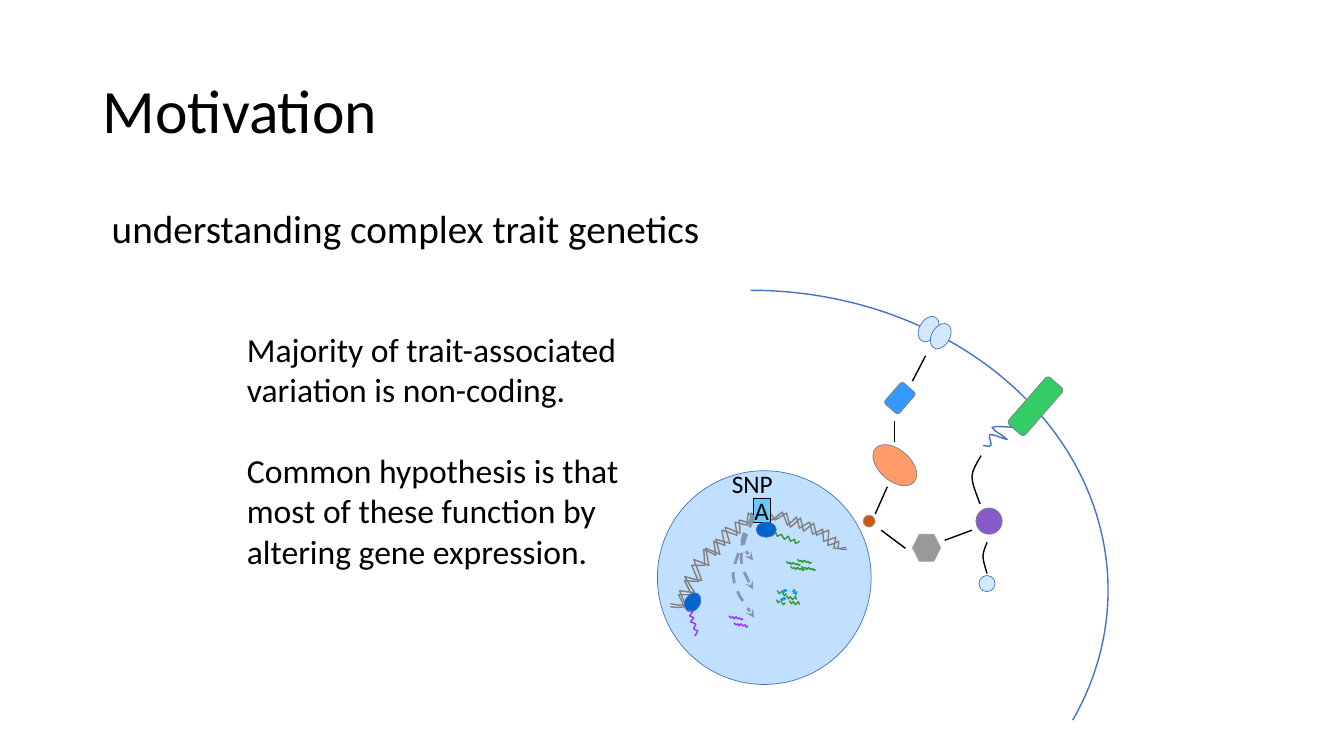
import pptx
import pptx.dml.color
import pptx.enum.dml
import pptx.enum.shapes
import pptx.enum.text
import pptx.oxml
import pptx.oxml.ns
import pptx.util

Inches = pptx.util.Inches
SHAPE = pptx.enum.shapes.MSO_SHAPE
ANCHOR = pptx.enum.text.MSO_ANCHOR
ALIGN = pptx.enum.text.PP_ALIGN

COLORS = {
    "black": "000000", "outline": "4472C4", "gray line": "7F7F7F", "light line": "A6A6A6",
    "membrane": "D1E8FD", "nucleus": "C1DFFF", "kinase": "3399FF", "receptor": "33CC66",
    "orange": "FF9966", "purple": "8555C8", "hexagon": "999999", "brown": "C55A11",
    "dna": "808080", "allele": "66CCFF", "polymerase": "0066CC", "green rna": "339933",
    "purple rna": "9933FF", "nick": "0099FF", "arrow": "8497B0",
}

# Turning points of the two DNA strands
STRANDS = [
    [(6.65, 6.02), (6.79, 6.02), (6.73, 5.9), (6.86, 5.9), (6.79, 5.76), (6.93, 5.77),
     (6.86, 5.61), (6.99, 5.61), (6.98, 5.45), (7.1, 5.51), (7.08, 5.37), (7.19, 5.41),
     (7.16, 5.26), (7.31, 5.31), (7.29, 5.18), (7.41, 5.21), (7.42, 5.09), (7.54, 5.18),
     (7.58, 5.06), (7.66, 5.16), (7.76, 5.08), (7.81, 5.21), (7.9, 5.13), (7.93, 5.24),
     (8.03, 5.18), (8.06, 5.3), (8.16, 5.25), (8.17, 5.37), (8.29, 5.33), (8.27, 5.44),
     (8.39, 5.43)],
    [(6.65, 5.99), (6.8, 6), (6.74, 5.86), (6.89, 5.88), (6.79, 5.72), (6.96, 5.76),
     (6.88, 5.55), (7.03, 5.61), (7, 5.44), (7.14, 5.5), (7.1, 5.35), (7.24, 5.39),
     (7.19, 5.23), (7.34, 5.29), (7.33, 5.16), (7.44, 5.19), (7.45, 5.09), (7.58, 5.17),
     (7.62, 5.06), (7.69, 5.16), (7.8, 5.09), (7.84, 5.23), (7.94, 5.14), (7.97, 5.27),
     (8.07, 5.19), (8.1, 5.31), (8.22, 5.26), (8.21, 5.41), (8.32, 5.37), (8.31, 5.44),
     (8.4, 5.45)],
]

# Small wave forms, as offsets from their start
TRANSCRIPT = [(0, 0), (.02, .02), (.04, .01), (.05, .03), (.07, .01), (.09, .03),
              (.11, .02), (.12, .04), (.14, .03)]
PIECE = [(0, 0), (.02, .03), (.04, .01), (.06, .04), (.09, .01), (.1, .04)]
NICK = [(0, 0), (.02, -.02), (.02, -.01), (.01, .02)]
WIDE_NICK = [(0, 0), (.04, -.02), (.05, -.01), (.01, .01)]


def rgb(name):
    return pptx.dml.color.RGBColor.from_string(COLORS[name])


def set_line(item, color, width):
    item.line.color.rgb = rgb(color)
    item.line.width = pptx.util.Pt(width)


def write(frame, *texts, size, anchor=ANCHOR.TOP, align=ALIGN.LEFT, spacing=1, gap=0, wrap=True):
    frame.word_wrap = wrap
    frame.vertical_anchor = anchor
    for index, text in enumerate(texts):
        para = frame.paragraphs[0] if index == 0 else frame.add_paragraph()
        para.alignment = align
        para.line_spacing = spacing
        para.space_before = pptx.util.Pt(gap if index else 0)
        span = para.add_run()
        span.text = text
        span.font.size = pptx.util.Pt(size)
        span.font.name = "Calibri"
        span.font.color.rgb = rgb("black")


def add_text(shapes, place, *texts, **style):
    box = shapes.add_textbox(*map(Inches, place))
    write(box.text_frame, *texts, **style)


def add_part(shapes, kind, place, fill, line="outline", width=0.5, turn=0, alpha=None):
    part = shapes.add_shape(kind, *map(Inches, place))
    part.shadow.inherit = False
    part.rotation = turn
    set_line(part, line, width)
    if fill is None:
        part.fill.background()
    else:
        part.fill.solid()
        part.fill.fore_color.rgb = rgb(fill)
    if alpha:
        color = part.fill._xPr.find(".//" + pptx.oxml.ns.qn("a:srgbClr"))
        color.append(pptx.oxml.parse_xml(
            f'<a:alpha {pptx.oxml.ns.nsdecls("a")} val="{alpha * 1000}"/>'))
    return part


def add_link(shapes, start, end):
    link = shapes.add_connector(pptx.enum.shapes.MSO_CONNECTOR.STRAIGHT,
                                *map(Inches, start + end))
    set_line(link, "black", 1)
    link._element.spPr.append(
        pptx.oxml.parse_xml(f'<a:effectLst {pptx.oxml.ns.nsdecls("a")}/>'))


def smooth(points, steps):
    """Catmull-Rom curve through the points."""
    padded = [points[0], *points, points[-1]]
    curve = [points[0]]
    for a, b, c, d in zip(padded, padded[1:], padded[2:], padded[3:]):
        for step in range(1, steps + 1):
            t = step / steps
            curve.append(tuple(
                b[i] + (c[i] - a[i]) * t / 2
                + (2 * a[i] - 5 * b[i] + 4 * c[i] - d[i]) * t ** 2 / 2
                + (3 * b[i] - a[i] - 3 * c[i] + d[i]) * t ** 3 / 2 for i in (0, 1)))
    return curve


def add_curve(shapes, points, color, width=1, steps=2, arrow=False):
    start, *rest = [(Inches(x), Inches(y)) for x, y in smooth(points, steps)]
    builder = shapes.build_freeform(*start)
    builder.add_line_segments(rest, close=False)
    curve = builder.convert_to_shape()
    curve.shadow.inherit = False
    curve.fill.background()
    set_line(curve, color, width)
    if arrow:
        curve.line.dash_style = pptx.enum.dml.MSO_LINE.DASH
        curve.line._get_or_add_ln().append(
            pptx.oxml.parse_xml(f'<a:tailEnd {pptx.oxml.ns.nsdecls("a")} type="stealth"/>'))


def add_waves(shapes, wave, color, starts):
    for left, top in starts:
        add_curve(shapes, [(left + x, top + y) for x, y in wave], color, steps=1)


def draw_signalling(cell):
    # Membrane, its receptors and the nucleus
    membrane = add_part(cell, SHAPE.ARC, (3.9, 2.88, 7.09, 5.95), None, width=1)
    membrane.adjustments[0] = 162
    membrane.adjustments[1] = 13.19
    for left, top in [(9.12, 3.13), (9.24, 3.2)]:
        add_part(cell, SHAPE.OVAL, (left, top, .18, .27), "membrane", turn=30)
    add_part(cell, SHAPE.OVAL, (6.52, 4.67, 2.12, 2.12), "nucleus")
    for place, fill in [((8.83, 3.81, .19, .28), "kinase"), ((10.16, 3.72, .22, .62), "receptor")]:
        add_part(cell, SHAPE.ROUNDED_RECTANGLE, place, fill, "gray line", turn=41)
    add_curve(cell, [(10.05, 4.24), (9.84, 4.24), (9.99, 4.36), (9.82, 4.31),
                     (9.83, 4.42), (9.75, 4.42)], "outline", steps=3)

    # Signalling molecules and their links
    add_part(cell, SHAPE.OVAL, (9.71, 5.71, .16, .16), "membrane")
    add_part(cell, SHAPE.OVAL, (8.62, 4.46, .51, .31), "orange", "gray line", turn=41, alpha=97)
    add_part(cell, SHAPE.OVAL, (9.68, 5.04, .26, .26), "purple", "gray line", alpha=97)
    add_part(cell, SHAPE.HEXAGON, (9.05, 5.3, .28, .27), "hexagon", "light line")
    add_part(cell, SHAPE.OVAL, (8.56, 5.11, .12, .12), "brown", "light line")
    for start, end in [((8.98, 5.44), (8.74, 5.26)), ((9.64, 5.26), (9.37, 5.36)),
                       ((9.18, 3.53), (9.05, 3.78)), ((8.8, 4.83), (8.68, 5.1)),
                       ((8.87, 4.18), (8.87, 4.39))]:
        add_link(cell, start, end)
    for points in [[(9.73, 4.52), (9.64, 4.73), (9.72, 5)],
                   [(9.79, 5.38), (9.75, 5.52), (9.79, 5.69)]]:
        add_curve(cell, points, "black", steps=5)


def draw_expression(cell):
    # DNA with the variant
    for strand in STRANDS:
        add_curve(cell, strand, "dna")
    allele = add_part(cell, SHAPE.RECTANGLE, (7.47, 4.94, .17, .24), "allele", "black")
    frame = allele.text_frame
    frame.margin_left = frame.margin_right = frame.margin_top = frame.margin_bottom = 0
    write(frame, "A", size=18, anchor=ANCHOR.MIDDLE, align=ALIGN.CENTER)
    add_text(cell, (7.16, 4.6, .61, .4), "SNP", size=18, wrap=False)

    # Polymerases with growing transcripts
    add_part(cell, SHAPE.OVAL, (7.5, 5.18, .2, .15), "polymerase")
    add_curve(cell, [(7.69, 5.27), (7.71, 5.32), (7.75, 5.3), (7.78, 5.35), (7.82, 5.32),
                     (7.84, 5.37), (7.88, 5.35), (7.89, 5.39), (7.93, 5.37)], "green rna")
    add_part(cell, SHAPE.OVAL, (6.77, 5.9, .2, .15), "polymerase", turn=300)
    add_curve(cell, [(6.89, 6.31), (6.92, 6.26), (6.88, 6.24), (6.9, 6.19), (6.85, 6.17),
                     (6.88, 6.13), (6.84, 6.11), (6.87, 6.07), (6.83, 6.05)], "purple rna")

    # Finished and degraded transcripts
    add_waves(cell, TRANSCRIPT, "green rna", [(7.84, 5.62), (7.8, 5.57), (7.91, 5.55), (7.95, 5.62)])
    add_waves(cell, TRANSCRIPT, "purple rna", [(7.23, 6.11), (7.28, 6.18)])
    add_waves(cell, PIECE, "green rna", [(7.8, 5.91), (7.83, 5.96)])
    add_waves(cell, PIECE[:3], "green rna", [(7.71, 5.86), (7.76, 5.88), (7.7, 5.95), (7.75, 5.97)])
    add_waves(cell, NICK, "nick", [(7.88, 5.89), (7.86, 5.87)])
    add_waves(cell, WIDE_NICK, "nick", [(7.75, 5.87), (7.74, 5.95)])

    # Effects of the variant
    for points in [[(7.47, 5.11), (7.36, 5.37), (7.47, 5.56)],
                   [(7.47, 5.11), (7.35, 5.54), (7.47, 5.85)],
                   [(7.48, 5.13), (7.27, 5.71), (7.48, 6.13)]]:
        add_curve(cell, points, "arrow", width=2, steps=5, arrow=True)


def main():
    deck = pptx.Presentation()
    deck.slide_width, deck.slide_height = Inches(13.33), Inches(7.5)
    page = deck.slides.add_slide(deck.slide_layouts[6])
    add_text(page.shapes, (.92, .4, 11.5, 1.45), "Motivation", size=44,
             anchor=ANCHOR.MIDDLE, spacing=.9)
    add_text(page.shapes, (1.01, 2.03, 9.16, .78), "understanding complex trait genetics",
             size=28, spacing=.9)
    cell = page.shapes.add_group_shape().shapes
    draw_signalling(cell)
    draw_expression(cell)
    add_text(page.shapes, (2.35, 3.21, 3.91, 2.52),
             "Majority of trait-associated variation is non-coding.",
             "Common hypothesis is that most of these function by altering gene expression.",
             size=24, gap=29)
    deck.save("out.pptx")


if __name__ == "__main__":
    main()
